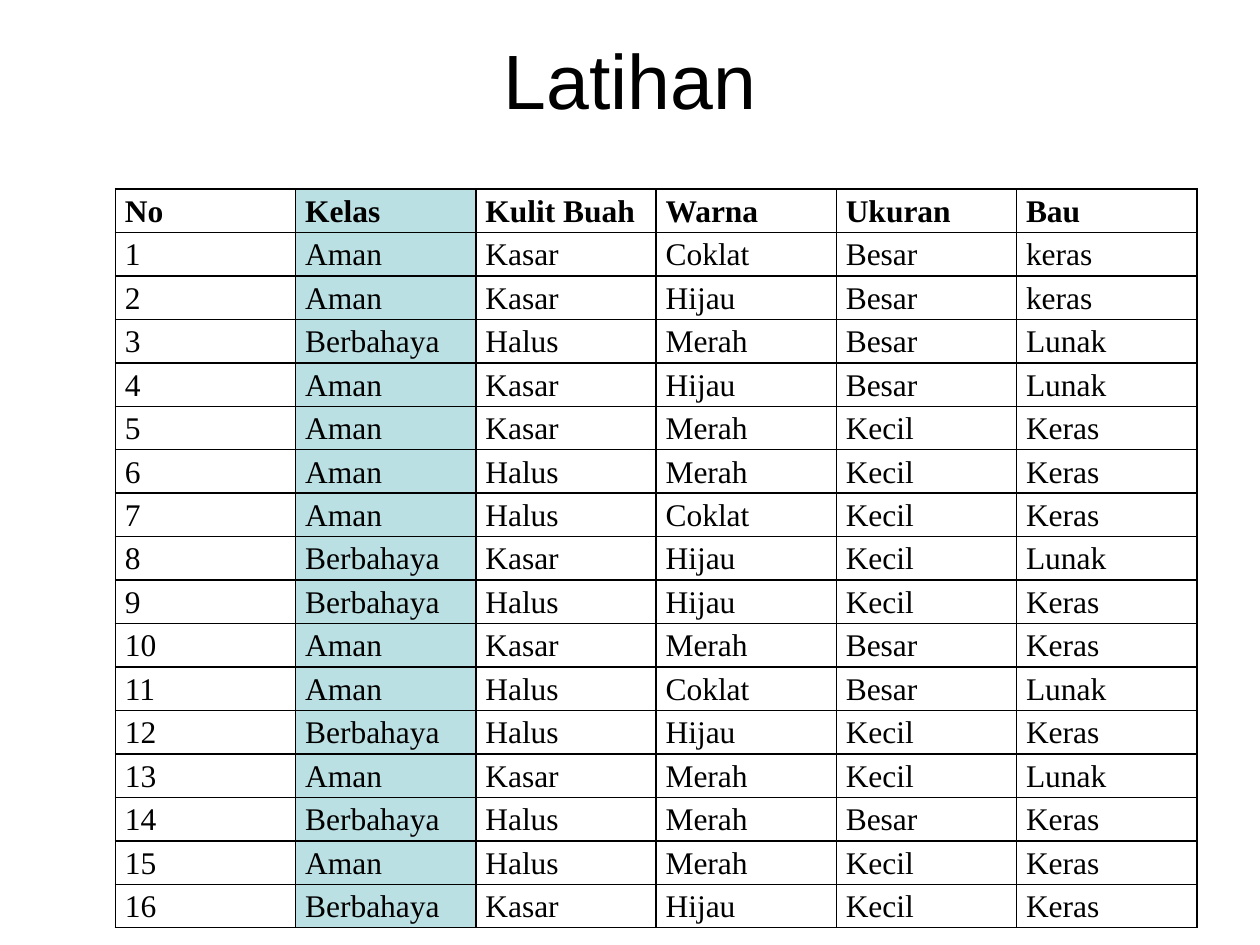
from dataclasses import dataclass
from lxml.etree import SubElement as Sub
from pptx import Presentation
from pptx.dml.color import RGBColor as Color
from pptx.enum.text import MSO_ANCHOR as Anchor, PP_ALIGN as Align
from pptx.oxml.ns import qn
from pptx.util import Pt


@dataclass(frozen=True)
class Theme:
    ink: str = "000000"
    tint: str = "BBE0E3"
    head: str = "Arial"
    body: str = "Times New Roman"
    big: float = 44
    small: float = 18
    rule: float = 1
    lead: float = 1.15


LOOK = Theme()
HEADS = ["No", "Kelas", "Kulit Buah", "Warna", "Ukuran", "Bau"]
FRUITS = """Aman Kasar Coklat Besar keras
Aman Kasar Hijau Besar keras
Berbahaya Halus Merah Besar Lunak
Aman Kasar Hijau Besar Lunak
Aman Kasar Merah Kecil Keras
Aman Halus Merah Kecil Keras
Aman Halus Coklat Kecil Keras
Berbahaya Kasar Hijau Kecil Lunak
Berbahaya Halus Hijau Kecil Keras
Aman Kasar Merah Besar Keras
Aman Halus Coklat Besar Lunak
Berbahaya Halus Hijau Kecil Keras
Aman Kasar Merah Kecil Lunak
Berbahaya Halus Merah Besar Keras
Aman Halus Merah Kecil Keras
Berbahaya Kasar Hijau Kecil Keras"""
ROWS = [HEADS] + [
    [str(num), *line.split()] for num, line in enumerate(FRUITS.splitlines(), 1)
]
CLASS = HEADS.index("Kelas")


def add_run(para, text, face, size, bold=False):
    run = para.add_run()
    run.text = text
    font = run.font
    font.name, font.size, font.bold = face, Pt(size), bold
    font.color.rgb = Color.from_string(LOOK.ink)


def add_rules(cell):
    props = cell._tc.get_or_add_tcPr()
    for side in ("lnL", "lnR", "lnT", "lnB"):
        line = Sub(props, qn(f"a:{side}"), w=str(Pt(LOOK.rule)))
        fill = Sub(line, qn("a:solidFill"))
        Sub(fill, qn("a:srgbClr"), val=LOOK.ink)


def fill_cell(cell, text, bold, tinted):
    cell.margin_left = cell.margin_right = Pt(5.4)
    cell.margin_top = cell.margin_bottom = Pt(0)
    add_rules(cell)
    if tinted:
        cell.fill.solid()
        cell.fill.fore_color.rgb = Color.from_string(LOOK.tint)
    else:
        cell.fill.background()
    para = cell.text_frame.paragraphs[0]
    para.line_spacing = LOOK.lead
    add_run(para, text, LOOK.body, LOOK.small, bold)


def put_title(slide, text, left, top, width, height):
    title = slide.shapes.title
    title.left, title.top = Pt(left), Pt(top)
    title.width, title.height = Pt(width), Pt(height)
    frame = title.text_frame
    frame.vertical_anchor = Anchor.MIDDLE
    para = frame.paragraphs[0]
    para.alignment = Align.CENTER
    add_run(para, text, LOOK.head, LOOK.big)


def put_table(slide, rows, left, top, width, height):
    box = slide.shapes.add_table(
        len(rows), len(rows[0]), Pt(left), Pt(top), Pt(width), Pt(height)
    )
    table = box.table
    table.first_row = table.horz_banding = False
    for col in table.columns:
        col.width = Pt(width / len(rows[0]))
    for row, texts in enumerate(rows):
        table.rows[row].height = Pt(height / len(rows))
        for col, text in enumerate(texts):
            fill_cell(table.cell(row, col), text, row == 0, col == CLASS)


def main():
    deck = Presentation()
    deck.slide_width, deck.slide_height = Pt(720), Pt(540)
    slide = deck.slides.add_slide(deck.slide_layouts[5])
    put_title(slide, "Latihan", 36, 0, 648, 90)
    put_table(slide, ROWS, 66, 108, 618, 422.4)
    deck.save("out.pptx")


if __name__ == "__main__":
    main()
